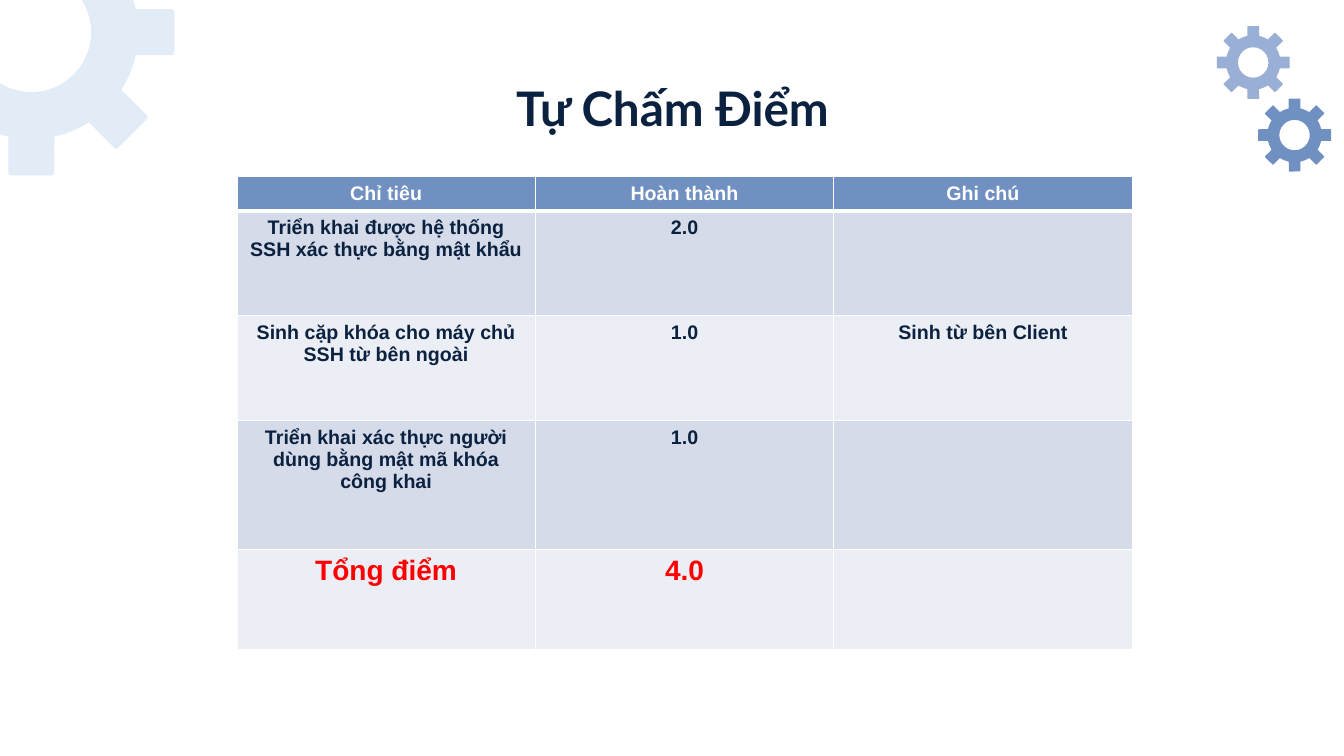
"""Build the self-assessment slide with its score table and gear decorations."""
from dataclasses import dataclass
from math import cos, radians, sin

from lxml import etree
from pptx import Presentation
from pptx.dml.color import RGBColor
from pptx.enum.shapes import MSO_SHAPE
from pptx.enum.text import MSO_ANCHOR, PP_ALIGN
from pptx.oxml.ns import qn
from pptx.shapes.autoshape import Shape
from pptx.slide import Slide
from pptx.table import _Cell
from pptx.text.text import TextFrame
from pptx.util import Inches, Pt

DONUT = MSO_SHAPE.DONUT
ROUNDED = MSO_SHAPE.ROUNDED_RECTANGLE
CENTER = PP_ALIGN.CENTER
MIDDLE = MSO_ANCHOR.MIDDLE

WHITE = RGBColor(0xFF, 0xFF, 0xFF)
NAVY = RGBColor(0x0B, 0x21, 0x40)
RED = RGBColor(0xFF, 0x00, 0x00)
BLUE = RGBColor(0x6F, 0x90, 0xC1)
PERIWINKLE = RGBColor(0x99, 0xAF, 0xD6)
PALE_BLUE = RGBColor(0xE2, 0xEC, 0xF7)
DARK_BAND = RGBColor(0xD5, 0xDB, 0xE9)
LIGHT_BAND = RGBColor(0xEB, 0xEE, 0xF4)


@dataclass(frozen=True)
class Gear:
    center_x: float
    center_y: float
    radius: float
    color: RGBColor
    tooth_angles: range


@dataclass(frozen=True)
class ScoreRow:
    texts: tuple[str, str, str]
    height: float
    fill: RGBColor
    color: RGBColor = NAVY
    size: int = 14
    top_border: int = 1
    bottom_border: int = 1


GEARS = (
    Gear(0.31, 0.32, 1.06, PALE_BLUE, range(0, 91, 45)),
    Gear(12.43, 0.62, 0.27, PERIWINKLE, range(0, 360, 45)),
    Gear(12.84, 1.34, 0.27, BLUE, range(0, 360, 45)),
)

SCORE_ROWS = (
    ScoreRow(("Chỉ tiêu", "Hoàn thành", "Ghi chú"), 0.34, BLUE, WHITE, bottom_border=3),
    ScoreRow(("Triển khai được hệ thống SSH xác thực bằng mật khẩu", "2.0", ""),
             1.04, DARK_BAND, top_border=3),
    ScoreRow(("Sinh cặp khóa cho máy chủ SSH từ bên ngoài", "1.0", "Sinh từ bên Client"),
             1.04, LIGHT_BAND),
    ScoreRow(("Triển khai xác thực người dùng bằng mật mã khóa công khai", "1.0", ""),
             1.28, DARK_BAND),
    ScoreRow(("Tổng điểm", "4.0", ""), 1.0, LIGHT_BAND, RED, 20),
)


def write(frame: TextFrame, text: str, font: str, size: int, color: RGBColor) -> None:
    """Add one bold centred run to the first paragraph."""
    paragraph = frame.paragraphs[0]
    paragraph.alignment = CENTER
    run = paragraph.add_run()
    run.text = text
    run.font.name = font
    run.font.size = Pt(size)
    run.font.bold = True
    run.font.color.rgb = color


def add_part(slide: Slide, kind: MSO_SHAPE, x: float, y: float,
             width: float, height: float, color: RGBColor, corner: float) -> Shape:
    """Draw a plain gear part centred on a point."""
    part = slide.shapes.add_shape(kind, Inches(x - width / 2), Inches(y - height / 2),
                                  Inches(width), Inches(height))
    part.adjustments[0] = corner
    part.fill.solid()
    part.fill.fore_color.rgb = color
    part.line.fill.background()
    part.shadow.inherit = False
    return part


def add_gear(slide: Slide, gear: Gear) -> None:
    """Draw a ring with teeth spaced around it, in proportion to its radius."""
    diameter = 2 * gear.radius
    add_part(slide, DONUT, gear.center_x, gear.center_y, diameter, diameter, gear.color, 0.22)
    reach = 1.13 * gear.radius
    for angle in gear.tooth_angles:
        tooth = add_part(slide, ROUNDED,
                         gear.center_x + reach * cos(radians(angle)),
                         gear.center_y + reach * sin(radians(angle)),
                         0.42 * gear.radius, 0.43 * gear.radius, gear.color, 0.06)
        tooth.rotation = angle


def set_borders(cell: _Cell, top: int, bottom: int) -> None:
    """Give a cell white borders with the given top and bottom widths."""
    properties = cell._tc.get_or_add_tcPr()
    widths = {"a:lnL": 1, "a:lnR": 1, "a:lnT": top, "a:lnB": bottom}
    for position, (tag, width) in enumerate(widths.items()):
        border = etree.Element(qn(tag), w=str(Pt(width)))
        fill = etree.SubElement(border, qn("a:solidFill"))
        etree.SubElement(fill, qn("a:srgbClr"), val=str(WHITE))
        properties.insert(position, border)


def add_scores(slide: Slide) -> None:
    """Draw the score table."""
    total_height = sum(row.height for row in SCORE_ROWS)
    scores = slide.shapes.add_table(len(SCORE_ROWS), 3, Inches(2.35), Inches(1.75),
                                    Inches(8.88), Inches(total_height)).table
    for column in scores.columns:
        column.width = Inches(2.96)
    for row_index, row in enumerate(SCORE_ROWS):
        scores.rows[row_index].height = Inches(row.height)
        for column_index, text in enumerate(row.texts):
            cell = scores.cell(row_index, column_index)
            cell.margin_left = cell.margin_right = Inches(0.13)
            cell.margin_top = cell.margin_bottom = Inches(0.06)
            cell.fill.solid()
            cell.fill.fore_color.rgb = row.fill
            set_borders(cell, row.top_border, row.bottom_border)
            if text:
                write(cell.text_frame, text, "Arial", row.size, row.color)


def add_heading(slide: Slide) -> None:
    """Place and fill the slide title."""
    heading = slide.shapes.title
    heading.left, heading.top = Inches(1.04), Inches(0.65)
    heading.width, heading.height = Inches(11.26), Inches(0.84)
    frame = heading.text_frame
    frame.margin_left = frame.margin_right = Inches(0.1)
    frame.margin_top = frame.margin_bottom = Inches(0.1)
    frame.vertical_anchor = MIDDLE
    frame.word_wrap = True
    write(frame, "Tự Chấm Điểm", "Lato", 34, NAVY)


def main() -> None:
    """Create and save the presentation."""
    presentation = Presentation()
    presentation.slide_width = Inches(13.33)
    presentation.slide_height = Inches(7.5)
    slide = presentation.slides.add_slide(presentation.slide_layouts[5])
    for gear in GEARS:
        add_gear(slide, gear)
    add_heading(slide)
    add_scores(slide)
    presentation.save("out.pptx")


if __name__ == "__main__":
    main()
